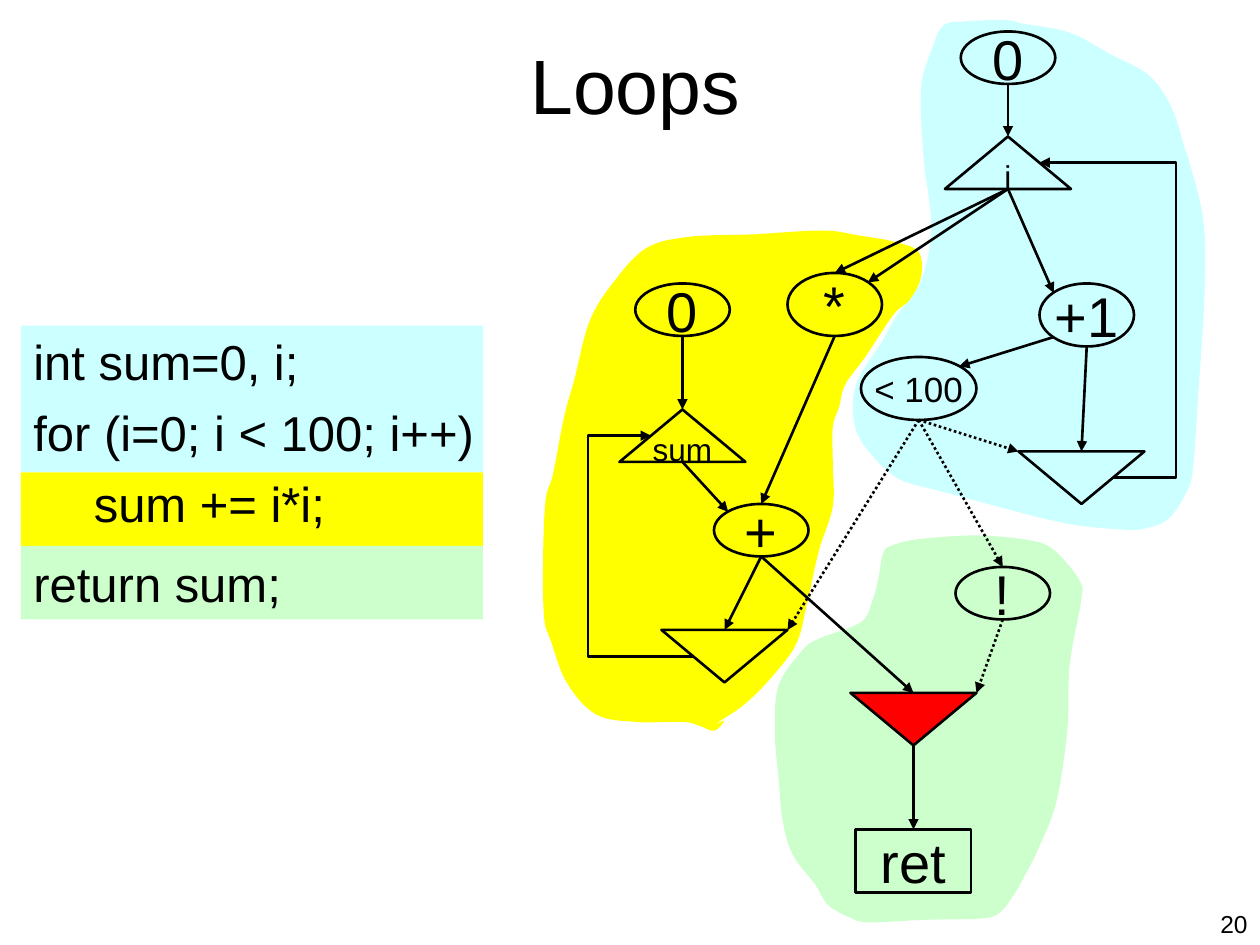
from dataclasses import dataclass
from typing import Optional

from lxml.etree import SubElement
from pptx import Presentation
from pptx.dml.color import RGBColor
from pptx.enum.dml import MSO_LINE
from pptx.enum.shapes import MSO_CONNECTOR, MSO_SHAPE
from pptx.enum.text import MSO_ANCHOR, PP_ALIGN
from pptx.oxml.ns import qn
from pptx.util import Inches, Pt

BLACK = RGBColor(0x00, 0x00, 0x00)
CYAN = RGBColor(0xCC, 0xFF, 0xFF)
YELLOW = RGBColor(0xFF, 0xFF, 0x00)
GREEN = RGBColor(0xCC, 0xFF, 0xCC)
RED = RGBColor(0xFF, 0x00, 0x00)

COLUMNS, ROWS = 120, 90
CELL = Inches(10) / COLUMNS
LINE_WIDTH = Pt(1.5)

# Attachment sites as shares of a node's width and height
TOP, BOTTOM, LEFT_CORNER, RIGHT_CORNER = (0.5, 0), (0.5, 1), (0, 0), (1, 0)
UPPER_LEFT, UPPER_RIGHT, LOWER_LEFT = (0.15, 0.15), (0.85, 0.15), (0.15, 0.85)
LEFT_SLOPE, RIGHT_SLOPE = (0.25, 0.5), (0.75, 0.5)


@dataclass
class Node:
    """A graph node placed in grid columns and rows."""
    kind: MSO_SHAPE
    column: float
    row: float
    width: float
    height: float
    label: str = ""
    size: int = 32
    fill: Optional[RGBColor] = None
    flipped: bool = False

    def site(self, share: tuple) -> tuple:
        return self.column + share[0] * self.width, self.row + share[1] * self.height


@dataclass
class Edge:
    source: str
    source_site: tuple
    target: str
    target_site: tuple
    dotted: bool = False
    via_column: Optional[float] = None


OVAL, TRIANGLE, BOX = MSO_SHAPE.OVAL, MSO_SHAPE.ISOSCELES_TRIANGLE, MSO_SHAPE.RECTANGLE
NODES = {
    "i start": Node(OVAL, 91.5, 3, 9, 5, "0", fill=CYAN),
    "i": Node(TRIANGLE, 90, 13, 12, 5, "i", 18, CYAN),
    "increment": Node(OVAL, 99, 27, 9, 6, "+1", fill=CYAN),
    "i gate": Node(TRIANGLE, 97, 43, 12, 5, fill=CYAN, flipped=True),
    "compare": Node(OVAL, 82, 34, 11, 6, "< 100", 20, CYAN),
    "multiply": Node(OVAL, 75, 26, 9, 6, "*"),
    "sum start": Node(OVAL, 60.5, 27, 9, 5, "0"),
    "sum": Node(TRIANGLE, 59, 39, 12, 5, "sum", 18),
    "add": Node(OVAL, 68, 48, 9, 5, "+"),
    "sum gate": Node(TRIANGLE, 63, 60, 12, 5, flipped=True),
    "not": Node(OVAL, 91, 54, 9, 5, "!"),
    "exit gate": Node(TRIANGLE, 81, 66, 12, 5, fill=RED, flipped=True),
    "return": Node(BOX, 81.5, 79, 11, 6, "ret"),
}
EDGES = [
    Edge("i start", BOTTOM, "i", TOP),
    Edge("i", BOTTOM, "increment", UPPER_LEFT),
    Edge("increment", BOTTOM, "i gate", TOP),
    Edge("increment", LOWER_LEFT, "compare", UPPER_RIGHT),
    Edge("i gate", RIGHT_SLOPE, "i", RIGHT_SLOPE, via_column=112),
    Edge("compare", BOTTOM, "i gate", LEFT_CORNER, dotted=True),
    Edge("i", BOTTOM, "multiply", UPPER_RIGHT),
    Edge("i", BOTTOM, "multiply", TOP),
    Edge("multiply", BOTTOM, "add", TOP),
    Edge("sum start", BOTTOM, "sum", TOP),
    Edge("sum", BOTTOM, "add", UPPER_LEFT),
    Edge("add", BOTTOM, "sum gate", TOP),
    Edge("sum gate", LEFT_SLOPE, "sum", LEFT_SLOPE, via_column=56),
    Edge("compare", BOTTOM, "sum gate", RIGHT_CORNER, dotted=True),
    Edge("compare", BOTTOM, "not", TOP, dotted=True),
    Edge("add", BOTTOM, "exit gate", TOP),
    Edge("not", BOTTOM, "exit gate", RIGHT_CORNER, dotted=True),
    Edge("exit gate", BOTTOM, "return", TOP),
]

# Region outlines in inches, joined by a smooth curve
REGIONS = [
    (CYAN, [(7.49, 0.2), (7.4, 0.38), (7.31, 0.7), (7.33, 1.25), (7.39, 1.8), (7.31, 2.23),
            (7.12, 2.5), (6.99, 2.73), (6.83, 2.97), (6.77, 3.17), (6.79, 3.4), (6.9, 3.59),
            (7.13, 3.8), (7.47, 3.9), (7.84, 4), (8.26, 4.11), (8.55, 4.17), (8.86, 4.2),
            (9.06, 4.2), (9.27, 4.12), (9.42, 3.9), (9.47, 3.7), (9.51, 3.13), (9.56, 2.32),
            (9.55, 1.75), (9.44, 1.29), (9.4, 1.17), (9.3, 0.86), (9.12, 0.6), (8.81, 0.43),
            (8.49, 0.26), (8.13, 0.19), (7.98, 0.16), (7.66, 0.17)]),
    (YELLOW, [(5.69, 5.74), (5.91, 5.59), (6.12, 5.38), (6.32, 5.11), (6.41, 4.77),
              (6.5, 4.37), (6.61, 4.02), (6.61, 3.68), (6.61, 3.39), (6.66, 3.23),
              (6.71, 3.05), (6.87, 2.83), (7.09, 2.5), (7.22, 2.38), (7.31, 2.2),
              (7.29, 2), (7.1, 1.92), (6.82, 1.87), (6.53, 1.83), (5.98, 1.86), (5.47, 1.88),
              (5.13, 1.97), (4.87, 2.24), (4.68, 2.55), (4.56, 3.01), (4.48, 3.3),
              (4.39, 3.76), (4.33, 3.98), (4.31, 4.49), (4.32, 4.91), (4.37, 5.08),
              (4.5, 5.42), (4.73, 5.67), (5.05, 5.73), (5.42, 5.73), (5.55, 5.76),
              (5.67, 5.8), (5.75, 5.72)]),
    (GREEN, [(8.18, 4.29), (7.75, 4.25), (7.29, 4.28), (7.08, 4.33), (7.01, 4.39),
             (6.97, 4.6), (6.92, 4.78), (6.83, 4.94), (6.5, 5.07), (6.37, 5.16),
             (6.18, 5.44), (6.15, 5.81), (6.18, 6.18), (6.21, 6.5), (6.29, 6.78),
             (6.47, 7.02), (6.57, 7.18), (6.74, 7.28), (6.9, 7.32), (7.35, 7.3),
             (7.79, 7.29), (7.94, 7.24), (8.06, 7.08), (8.16, 6.9), (8.23, 6.76),
             (8.38, 6.38), (8.47, 5.81), (8.49, 5.28), (8.58, 4.77), (8.57, 4.61),
             (8.37, 4.37)]),
]


def grid(*cells: float) -> list:
    return [round(cell * CELL) for cell in cells]


def write_text(shape, *lines: str, size: int, align=PP_ALIGN.LEFT, anchor=MSO_ANCHOR.TOP,
               wrap: bool = True, space_before: float = 0) -> None:
    frame = shape.text_frame
    frame.word_wrap = wrap
    frame.vertical_anchor = anchor
    frame.text = "\n".join(lines)
    for index, paragraph in enumerate(frame.paragraphs):
        paragraph.alignment = align
        if index:
            paragraph.space_before = Pt(space_before)
        paragraph.font.size = Pt(size)
        paragraph.font.name = "Arial"
        paragraph.font.color.rgb = BLACK


def curve_outline(shape) -> None:
    """Turn the straight sides of a closed freeform into smooth Bézier curves."""
    sides = list(shape.element.iter(qn("a:lnTo")))
    anchors = [(int(side[0].get("x")), int(side[0].get("y"))) for side in sides]
    for index, side in enumerate(sides):
        before, start, end, after = (anchors[(index + offset) % len(anchors)]
                                     for offset in (-2, -1, 0, 1))
        first = [s + (e - b) / 6 for b, s, e in zip(before, start, end)]
        second = [e - (a - s) / 6 for s, e, a in zip(start, end, after)]
        side.addprevious(curve := side.makeelement(qn("a:cubicBezTo")))
        for x, y in (first, second, end):
            SubElement(curve, qn("a:pt"), x=str(round(x)), y=str(round(y)))
        side.getparent().remove(side)


def draw_region(slide, color: RGBColor, points: list) -> None:
    outline = [(Inches(x), Inches(y)) for x, y in points]
    builder = slide.shapes.build_freeform(*outline[0])
    builder.add_line_segments(outline[1:] + outline[:1], close=True)
    region = builder.convert_to_shape()
    curve_outline(region)
    region.shadow.inherit = False
    region.fill.solid()
    region.fill.fore_color.rgb = color
    region.line.fill.background()


def draw_node(slide, node: Node, outlined: bool = True) -> None:
    shape = slide.shapes.add_shape(
        node.kind, *grid(node.column, node.row, node.width, node.height))
    shape.shadow.inherit = False
    if node.fill is None:
        shape.fill.background()
    else:
        shape.fill.solid()
        shape.fill.fore_color.rgb = node.fill
    if outlined:
        shape.line.color.rgb = BLACK
        shape.line.width = LINE_WIDTH
    else:
        shape.line.fill.background()
    if node.flipped:
        shape.element.spPr.find(qn("a:xfrm")).set("flipV", "1")
    if node.label:
        write_text(shape, node.label, size=node.size, wrap=False, anchor=MSO_ANCHOR.MIDDLE,
                   align=PP_ALIGN.CENTER if outlined else PP_ALIGN.LEFT)


def draw_edge(slide, edge: Edge) -> None:
    start = NODES[edge.source].site(edge.source_site)
    end = NODES[edge.target].site(edge.target_site)
    bent = edge.via_column is not None
    kind = MSO_CONNECTOR.ELBOW if bent else MSO_CONNECTOR.STRAIGHT
    connector = slide.shapes.add_connector(kind, *grid(*start, *end))
    connector.line.color.rgb = BLACK
    connector.line.width = LINE_WIDTH
    if edge.dotted:
        connector.line.dash_style = MSO_LINE.ROUND_DOT
    properties = connector.element.spPr
    SubElement(properties.find(qn("a:ln")), qn("a:tailEnd"), type="triangle")
    SubElement(properties, qn("a:effectLst"))
    if bent:
        bend = round(100000 * (edge.via_column - start[0]) / (end[0] - start[0]))
        values = properties.find(qn("a:prstGeom")).find(qn("a:avLst"))
        SubElement(values, qn("a:gd"), name="adj1", fmla=f"val {bend}")


def main() -> None:
    presentation = Presentation()
    presentation.slide_width, presentation.slide_height = grid(COLUMNS, ROWS)
    slide = presentation.slides.add_slide(presentation.slide_layouts[5])
    title = slide.shapes.title
    title.left, title.top, title.width, title.height = grid(7, 3, 107, 10)
    write_text(title, "Loops", size=44, align=PP_ALIGN.CENTER, anchor=MSO_ANCHOR.MIDDLE)

    for color, points in REGIONS:
        draw_region(slide, color, points)
    for row, height, color, label in [(31, 14, CYAN, ""), (45, 7, YELLOW, ""),
                                      (52, 7, GREEN, "return sum;")]:
        draw_node(slide, Node(BOX, 2, row, 44, height, label, 28, color), outlined=False)
    code = slide.shapes.add_textbox(*grid(2, 31, 49, 21))
    write_text(code, "int sum=0, i;", "for (i=0; i < 100; i++)", "sum += i*i;",
               size=28, space_before=7)
    code.text_frame.paragraphs[2]._p.get_or_add_pPr().set("marL", str(Inches(0.48)))

    for node in NODES.values():
        draw_node(slide, node)
    for edge in EDGES:
        draw_edge(slide, edge)
    number = slide.shapes.add_textbox(*grid(114, 86, 6, 4))
    write_text(number, "20", size=14, align=PP_ALIGN.RIGHT)
    presentation.save("out.pptx")


if __name__ == "__main__":
    main()
